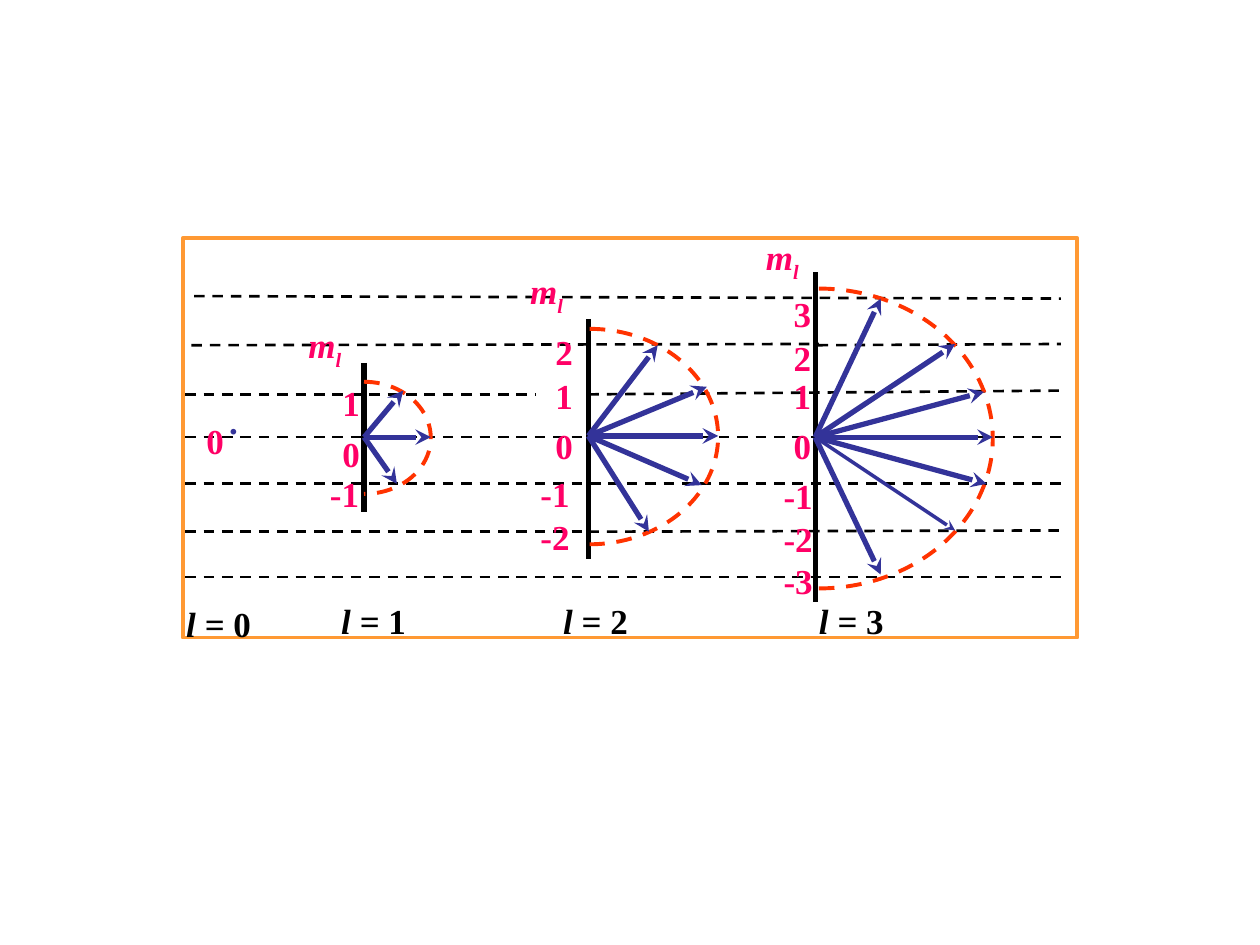
from dataclasses import dataclass
from typing import NamedTuple

from lxml.etree import SubElement
from pptx import Presentation
from pptx.dml.color import RGBColor
from pptx.enum.dml import MSO_LINE
from pptx.enum.shapes import MSO_CONNECTOR, MSO_SHAPE
from pptx.enum.text import MSO_AUTO_SIZE
from pptx.oxml.ns import qn
from pptx.util import Inches, Pt


@dataclass(frozen=True)
class Theme:
    font: str = "Times New Roman"
    size: int = 20
    black: str = "000000"
    white: str = "FFFFFF"
    pink: str = "FF0066"
    blue: str = "333399"
    red: str = "FF3300"
    gold: str = "FF9933"
    thin: float = 1.5
    mid: float = 2.25
    thick: float = 3


class Tip(NamedTuple):
    x: float
    y: float
    width: float = 3


class Fan(NamedTuple):
    order: int
    x: float
    y: float
    top: float
    base: float
    arc: tuple[float, float, float, float]
    tips: list[Tip]
    digit: float
    minus: float
    marks: list[float]
    head: tuple[float, float]
    foot: tuple[float, float]


class Row(NamedTuple):
    left: float
    start: float
    right: float
    end: float


theme = Theme()
COLS, ROWS = 100, 75
TALL = 4.3

FANS = [
    Fan(1, 28.9, 34.7, 28.8, 40.6, (28.9, 34.75, 5.3, 4.45),
        [Tip(32, 31), Tip(34.2, 34.7), Tip(31.5, 38.4)],
        26.2, 25.2, [29.8, 33.8, 37], (23.5, 25.2), (26.1, 9.3)),
    Fan(2, 46.7, 34.6, 25.3, 44.4, (46.8, 34.65, 10.2, 8.55),
        [Tip(52.2, 27.4), Tip(56.1, 30.7), Tip(57, 34.6),
         Tip(55.7, 38.5), Tip(51.5, 42.2)],
        43.1, 41.9, [25.7, 29.2, 33.2, 37, 40.4], (41.1, 20.9), (43.7, 12.2)),
    Fan(3, 64.7, 34.7, 21.6, 47.8, (65, 34.8, 13.8, 11.9),
        [Tip(69.9, 23.7), Tip(75.8, 27.3), Tip(78.1, 31.1), Tip(78.8, 34.7),
         Tip(78.3, 38.4), Tip(75.8, 42.1, 2), Tip(69.9, 45.6)],
        62, 61.2, [22.7, 26.2, 29.2, 33.2, 37.2, 40.6, 43.9],
        (59.8, 18.2), (64, 11.1)),
]

LEVELS = [
    Row(15.4, 23.5, 84.2, 23.7),
    Row(15.2, 27.4, 65, 27.3),
    Row(64.9, 27.4, 84.2, 27.3),
    Row(14.7, 31.3, 42.5, 31.3),
    Row(46.7, 31.3, 84.2, 31),
    Row(14.7, 34.7, 84.2, 34.7),
    Row(14.7, 38.4, 84.2, 38.4),
    Row(14.7, 42.2, 46.7, 42.2),
    Row(46.7, 42.2, 84.2, 42.1),
    Row(14.7, 45.8, 84.2, 45.8),
]

deck = Presentation()
deck.slide_width, deck.slide_height = Inches(10), Inches(7.5)
slide = deck.slides.add_slide(deck.slide_layouts[6])
shapes = slide.shapes


def col(n: float) -> int:
    return round(deck.slide_width * n / COLS)


def row(n: float) -> int:
    return round(deck.slide_height * n / ROWS)


def style(line, color: str, width: float, dash: bool = False) -> None:
    line.color.rgb = RGBColor.from_string(color)
    line.width = Pt(width)
    if dash:
        line.dash_style = MSO_LINE.DASH


def stroke(x: float, y: float, right: float, end: float, color: str,
           width: float, dash: bool = False, arrow: bool = False) -> None:
    link = shapes.add_connector(
        MSO_CONNECTOR.STRAIGHT, col(x), row(y), col(right), row(end))
    style(link.line, color, width, dash)
    if arrow:
        SubElement(link.line._get_or_add_ln(), qn("a:tailEnd"), type="stealth")
    SubElement(link._element.spPr, qn("a:effectLst"))


def write(text: str, x: float, y: float, wide: float, *, color: str = theme.pink,
          wrap: bool = False, slant: bool = False, tail: str = "",
          sub: bool = False) -> None:
    frame = shapes.add_textbox(col(x), row(y), col(wide), row(TALL)).text_frame
    frame.word_wrap = wrap
    frame.auto_size = MSO_AUTO_SIZE.SHAPE_TO_FIT_TEXT
    for part, tilt in ((text, slant), (tail, sub)):
        if part:
            run = frame.paragraphs[0].add_run()
            run.text = part
            font = run.font
            font.name, font.size, font.bold = theme.font, Pt(theme.size), True
            font.italic = tilt
            font.color.rgb = RGBColor.from_string(color)
    if sub:
        font._element.set("baseline", "-25000")


def panel() -> None:
    box = shapes.add_shape(
        MSO_SHAPE.RECTANGLE, col(14.5), row(18.9), col(71), row(31.7))
    box.shadow.inherit = False
    box.fill.solid()
    box.fill.fore_color.rgb = RGBColor.from_string(theme.white)
    style(box.line, theme.gold, theme.mid)


def curve(x: float, y: float, wide: float, high: float) -> None:
    arc = shapes.add_shape(MSO_SHAPE.ARC, col(x - wide), row(y - high),
                           col(2 * wide), row(2 * high))
    arc.shadow.inherit = False
    arc.adjustments[0], arc.adjustments[1] = 162, 54
    arc.fill.background()
    style(arc.line, theme.red, theme.mid, dash=True)


def caption(order: int, x: float, y: float, wide: float) -> None:
    write("l = ", x, y, wide, color=theme.black, wrap=True, slant=True,
          tail=str(order))


def draw(fan: Fan) -> None:
    stroke(fan.x, fan.top, fan.x, fan.base, theme.black, theme.thick)
    curve(*fan.arc)
    for tip in fan.tips:
        stroke(fan.x, fan.y, tip.x, tip.y, theme.blue, tip.width, arrow=True)
    for step, y in enumerate(fan.marks):
        mark = fan.order - step
        if mark < 0:
            write(str(mark), fan.minus, y, 5.5, wrap=True)
        else:
            write(str(mark), fan.digit, y, 3.4)
    write("m", *fan.head, 4.7, slant=True, tail="l", sub=True)
    left, wide = fan.foot
    caption(fan.order, left, 47.1, wide)


def main() -> None:
    panel()
    for level in LEVELS:
        stroke(*level, theme.black, theme.thin, dash=True)
    for fan in FANS:
        draw(fan)
    write(".", 17.2, 31.2, 2.7, color=theme.blue)
    write("0", 15.4, 32.8, 3.4)
    caption(0, 13.8, 47.3, 9.6)
    deck.save("out.pptx")


if __name__ == "__main__":
    main()
